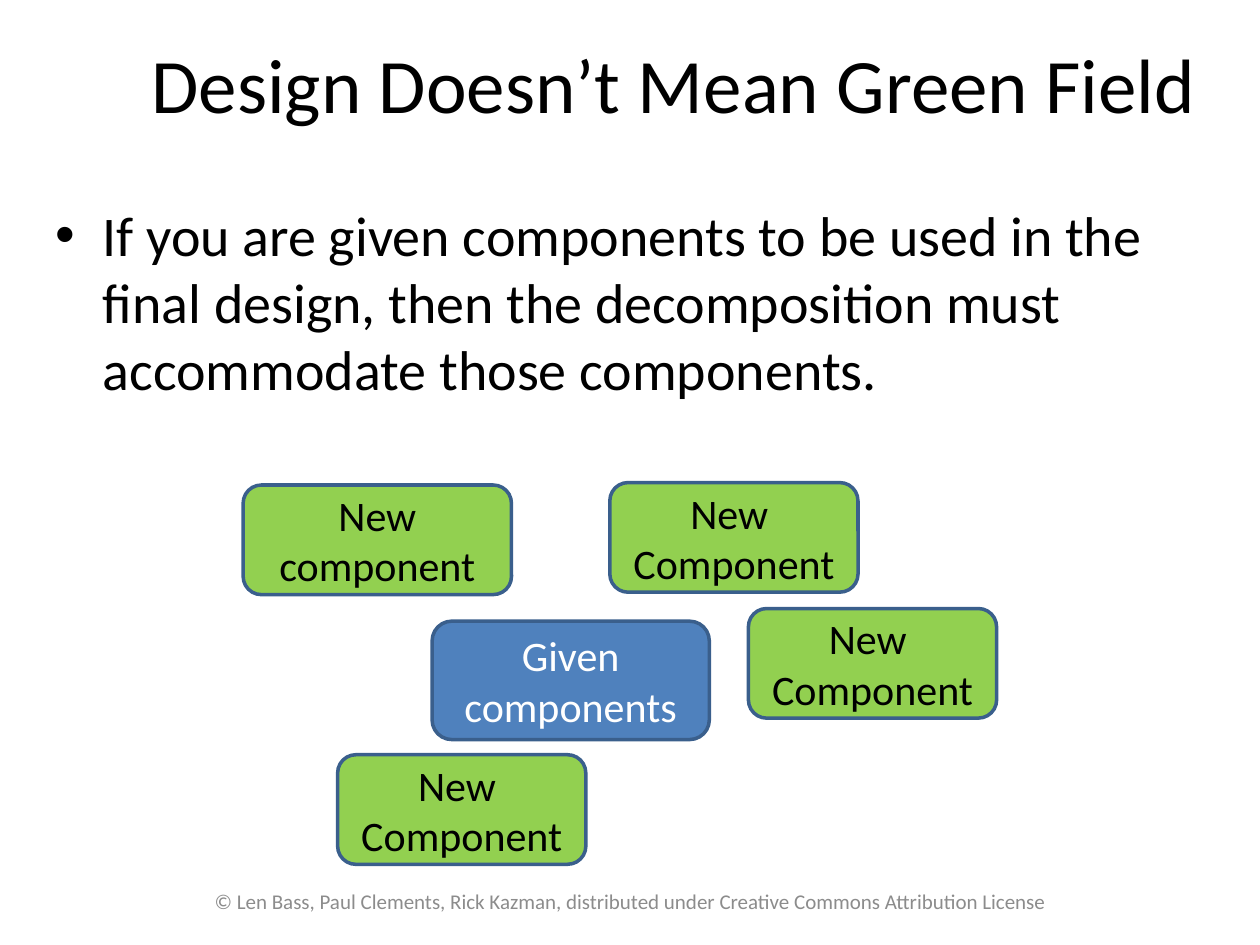
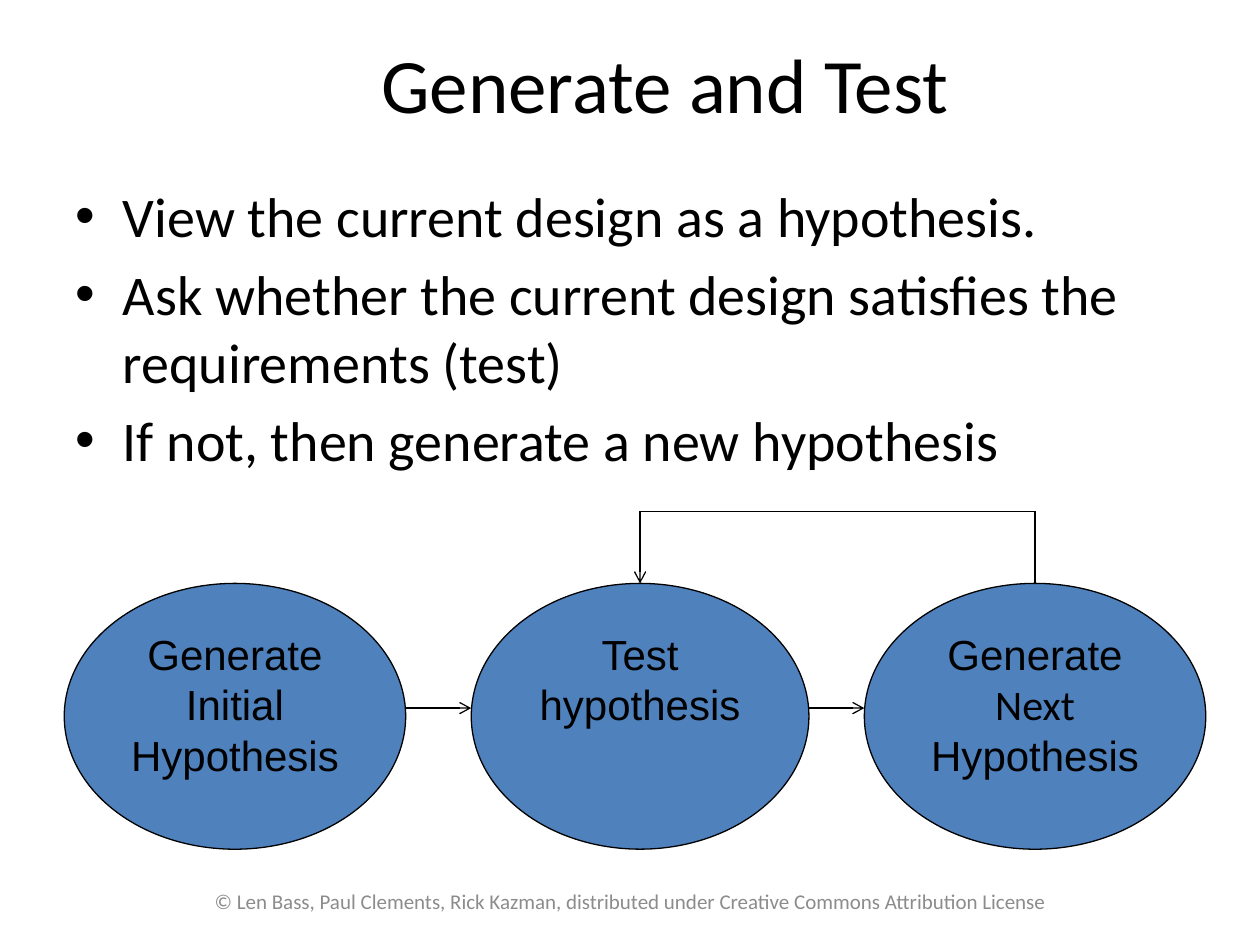
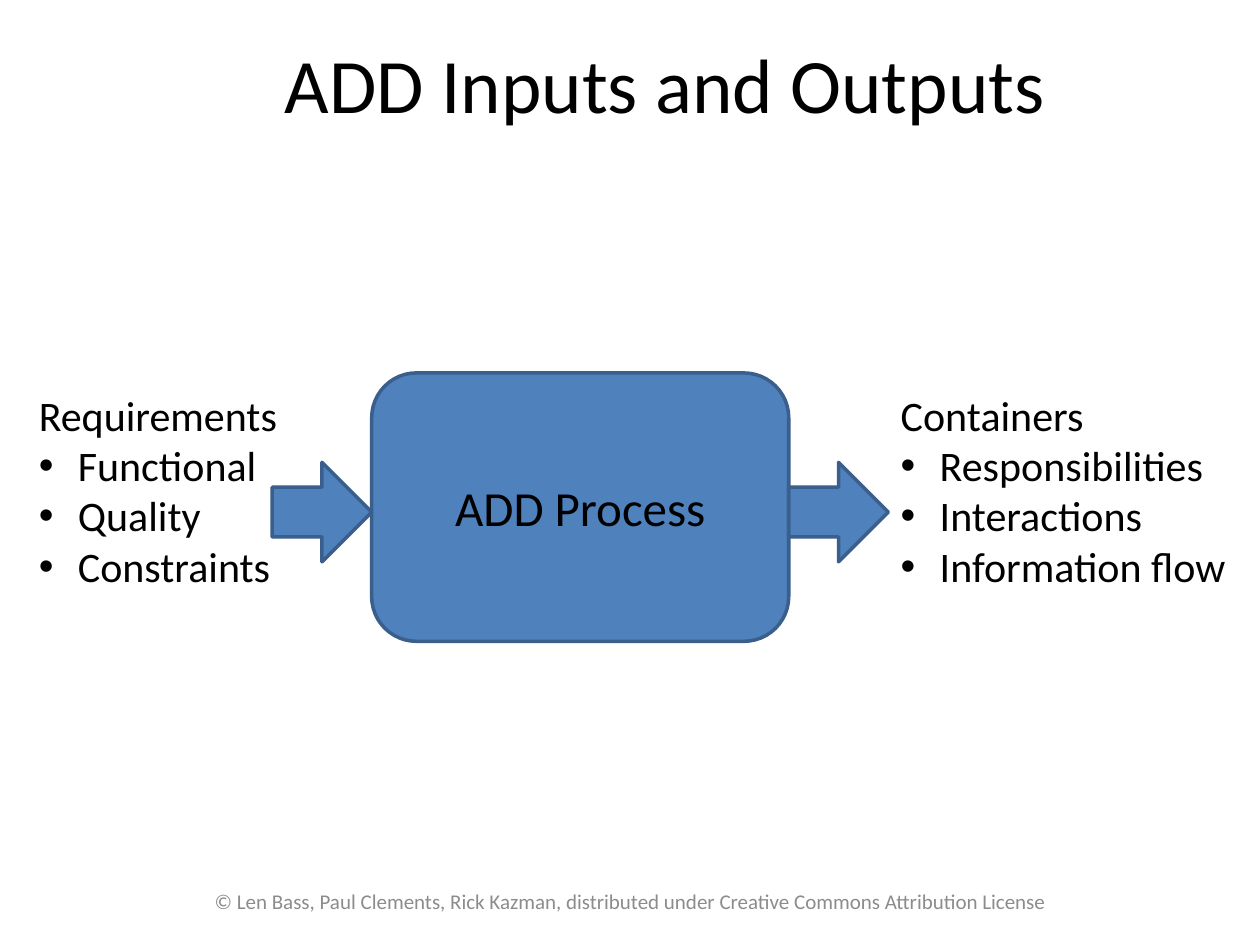
from dataclasses import dataclass
from typing import NamedTuple

from lxml.etree import SubElement
from pptx import Presentation
from pptx.dml.color import RGBColor
from pptx.enum.shapes import MSO_CONNECTOR as Connector, MSO_SHAPE as Preset
from pptx.enum.text import MSO_ANCHOR as Anchor, PP_ALIGN as Align
from pptx.oxml.ns import qn
from pptx.util import Inches, Pt

COLORS = {
    "text": "000000",
    "light": "FFFFFF",
    "footer": "8C8C8C",
    "blue": "4F81BD",
    "green": "92D050",
    "outline": "3A5F8C",
}
WIDTH, HEIGHT = Inches(10), Inches(7.5)
FOOTER = ("© Len Bass, Paul Clements, Rick Kazman, distributed under "
          "Creative Commons Attribution License")


class Run(NamedTuple):
    text: str
    font: str


class Box(NamedTuple):
    """Percentages of the slide's width and height."""
    left: float
    top: float
    width: float
    height: float

    @property
    def center(self) -> float:
        return self.left + self.width / 2

    @property
    def right(self) -> float:
        return self.left + self.width


@dataclass
class Node:
    box: Box
    paragraphs: list
    preset: Preset = Preset.ROUNDED_RECTANGLE
    fill: str = "blue"
    line: str = "outline"
    line_width: float = 2
    color: str = "text"
    size: int = 24
    font: str = "Calibri"
    anchor: Anchor = Anchor.MIDDLE


def across(share: float) -> int:
    return round(WIDTH * share / 100)


def down(share: float) -> int:
    return round(HEIGHT * share / 100)


def place(box: Box) -> tuple[int, int, int, int]:
    return across(box.left), down(box.top), across(box.width), down(box.height)


def rgb(name: str) -> RGBColor:
    return RGBColor.from_string(COLORS[name])


def add_bullet(paragraph) -> None:
    properties = paragraph._p.get_or_add_pPr()
    indent = Inches(0.31)
    properties.set("marL", str(indent))
    properties.set("indent", str(-indent))
    SubElement(properties, qn("a:buFont")).set("typeface", "Arial")
    SubElement(properties, qn("a:buChar")).set("char", "•")


def write_text(shape, paragraphs: list, *, size: int, font: str = "Calibri",
               color: str = "text", align=None, anchor=None, spacing=None,
               wrap: bool = True, bullets_after=None) -> None:
    frame = shape.text_frame
    frame.word_wrap = wrap
    if anchor is not None:
        frame.vertical_anchor = anchor
    for index, content in enumerate(paragraphs):
        paragraph = frame.add_paragraph() if index else frame.paragraphs[0]
        paragraph.alignment = align
        if spacing is not None:
            paragraph.line_spacing = spacing
        if bullets_after is not None and index >= bullets_after:
            add_bullet(paragraph)
        for part in [Run(content, font)] if isinstance(content, str) else content:
            run = paragraph.add_run()
            run.text = part.text
            run.font.name = part.font
            run.font.size = Pt(size)
            run.font.color.rgb = rgb(color)


def move(shape, box: Box) -> None:
    shape.left, shape.top, shape.width, shape.height = place(box)


def add_slide(presentation, title: str, body=(), body_box=None, title_width: float = 84.4):
    layout = presentation.slide_layouts[1 if body else 5]
    slide = presentation.slides.add_slide(layout)
    move(slide.shapes.title, Box(10.6, 4, title_width, 11.33))
    write_text(slide.shapes.title, [title], size=44, align=Align.CENTER,
               anchor=Anchor.MIDDLE, spacing=0.8)
    if body:
        move(slide.placeholders[1], body_box)
        write_text(slide.placeholders[1], body, size=32)
    footer = slide.shapes.add_textbox(*place(Box(15.4, 92.67, 69.3, 5.33)))
    write_text(footer, [FOOTER], size=12, color="footer", align=Align.CENTER,
               anchor=Anchor.MIDDLE)
    return slide


def add_node(slide, node: Node) -> None:
    shape = slide.shapes.add_shape(node.preset, *place(node.box))
    shape.shadow.inherit = False
    shape.fill.solid()
    shape.fill.fore_color.rgb = rgb(node.fill)
    shape.line.color.rgb = rgb(node.line)
    shape.line.width = Pt(node.line_width)
    write_text(shape, node.paragraphs, size=node.size, font=node.font,
               color=node.color, align=Align.CENTER, anchor=node.anchor)


def add_line(slide, start: tuple, end: tuple, arrow: bool = True) -> None:
    connector = slide.shapes.add_connector(
        Connector.STRAIGHT, across(start[0]), down(start[1]), across(end[0]), down(end[1]))
    connector.line.color.rgb = rgb("text")
    connector.line.width = Pt(0.75)
    if arrow:
        SubElement(connector.line._get_or_add_ln(), qn("a:tailEnd")).set("type", "arrow")
    SubElement(connector._element.spPr, qn("a:effectLst"))


def build_green_field(presentation) -> None:
    slide = add_slide(
        presentation, "Design Doesn’t Mean Green Field",
        ["If you are given components to be used in the final design, "
         "then the decomposition must accommodate those components."],
        Box(3.4, 20.53, 90, 70.8), title_width=85.8)
    add_node(slide, Node(Box(34.3, 65.73, 22, 12.53), ["Given components"], color="light"))
    add_node(slide, Node(Box(19.3, 51.33, 21.3, 11.6), ["New component"], fill="green"))
    for left, top in ((26.8, 79.87), (59.4, 64.4), (48.4, 51.07)):
        add_node(slide, Node(Box(left, top, 19.7, 11.6), ["New ", "Component"], fill="green"))


def build_generate_and_test(presentation) -> None:
    slide = add_slide(
        presentation, "Generate and Test",
        ["View the current design as a hypothesis.",
         "Ask whether the current design satisfies the requirements (test)",
         "If not, then generate a new hypothesis"],
        Box(5, 18.53, 90, 70.8))
    oval_top, oval_height, arrow_row, loop_row = 61.73, 28.13, 74.93, 54.13
    initial, test, following = (
        Box(left, oval_top, width, oval_height)
        for left, width in ((5.1, 27.1), (37.4, 26.8), (68.6, 27.1)))

    def add_oval(box: Box, content) -> None:
        add_node(slide, Node(box, [content], preset=Preset.OVAL, line="text",
                             line_width=0.75, font="Arial", anchor=Anchor.TOP))

    add_oval(initial, "Generate Initial Hypothesis")
    add_oval(following, [Run("Generate ", "Arial"), Run("Next ", "Calibri"),
                         Run("Hypothesis", "Arial")])
    for source, target in ((initial, test), (test, following)):
        add_line(slide, (source.right, arrow_row), (target.left, arrow_row))
    loop = [(following.center, oval_top), (following.center, loop_row),
            (test.center, loop_row), (test.center, oval_top)]
    for start, end in zip(loop, loop[1:]):
        add_line(slide, start, end, arrow=end == loop[-1])
    add_oval(test, "Test hypothesis")


def build_inputs_and_outputs(presentation) -> None:
    slide = add_slide(presentation, "ADD Inputs and Outputs")
    process = Box(29.5, 39.47, 33.1, 28.4)
    add_node(slide, Node(process, ["ADD Process"], size=28))
    lists = (
        (2.1, 21.1, False, ["Requirements", "Functional", "Quality", "Constraints"]),
        (70.5, 31.1, True, ["Containers", "Responsibilities", "Interactions",
                            "Information flow"]),
    )
    for left, width, wrap, lines in lists:
        box = slide.shapes.add_textbox(*place(Box(left, 40.53, width, 22.93)))
        write_text(box, lines, size=24, wrap=wrap, bullets_after=1)
    arrow_width = 7.9
    for left in (process.right, process.left - arrow_width):
        add_node(slide, Node(Box(left, 48.93, arrow_width, 10.53), [],
                             preset=Preset.RIGHT_ARROW))


def main() -> None:
    presentation = Presentation()
    presentation.slide_width, presentation.slide_height = WIDTH, HEIGHT
    build_green_field(presentation)
    build_generate_and_test(presentation)
    build_inputs_and_outputs(presentation)
    presentation.save("out.pptx")


if __name__ == "__main__":
    main()
